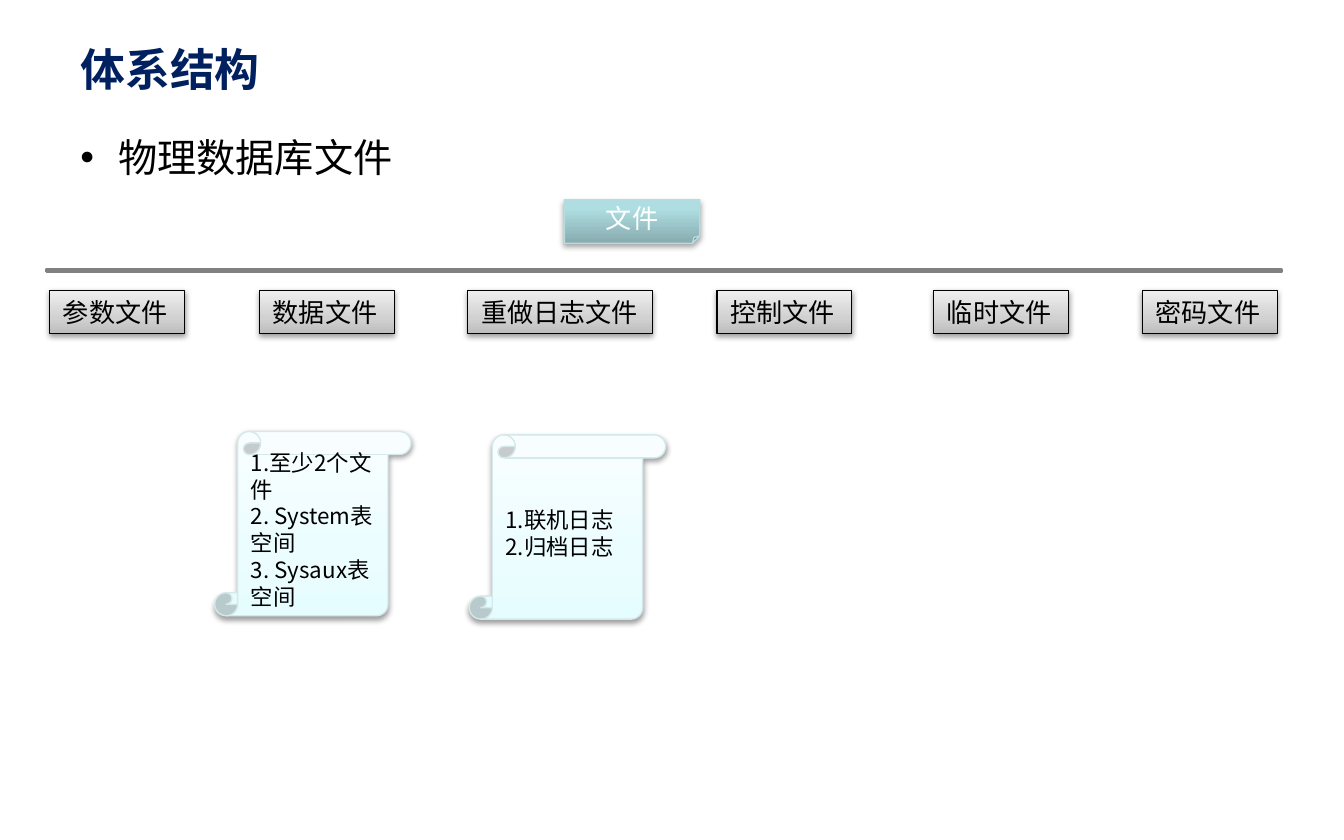
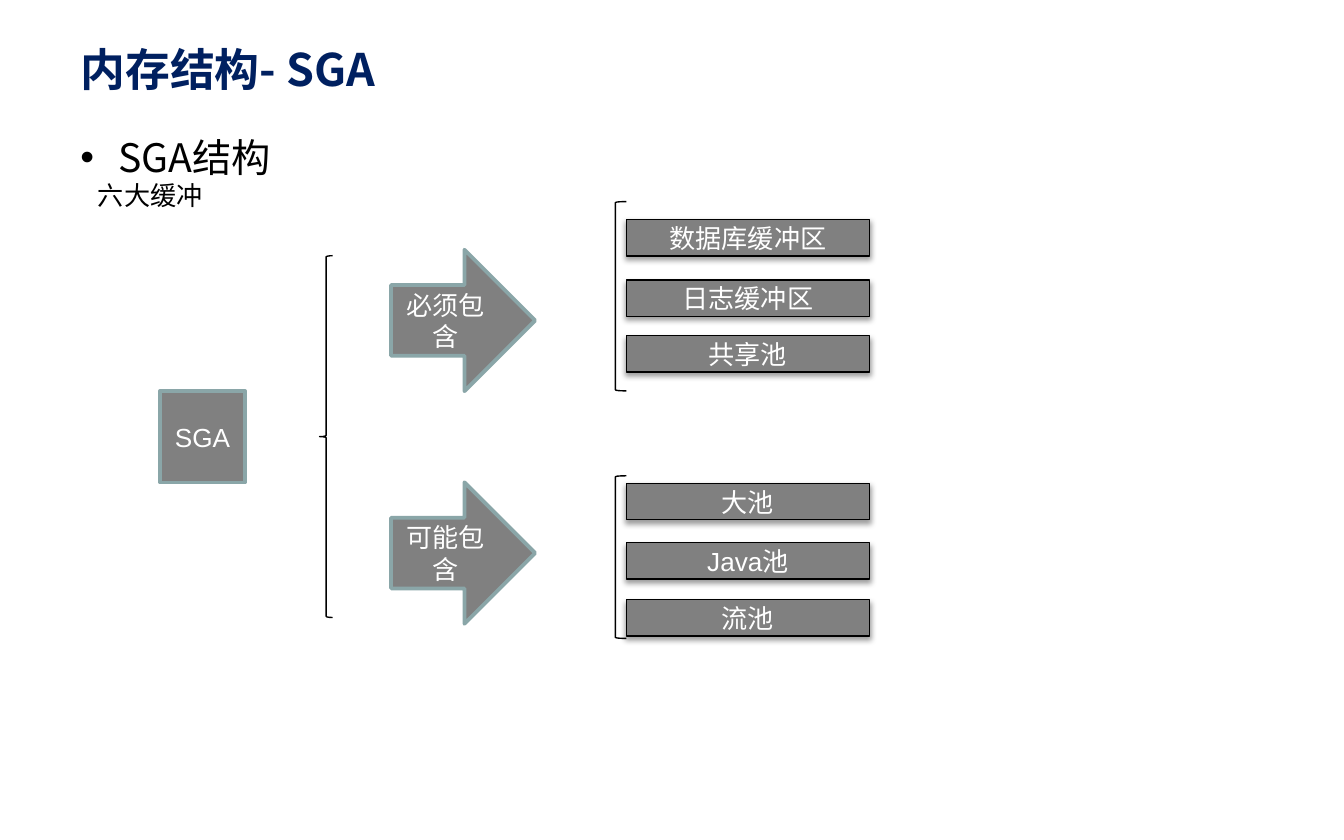
from copy import deepcopy

from lxml.etree import SubElement
from pptx import Presentation
from pptx.dml.color import RGBColor
from pptx.enum.shapes import MSO_SHAPE as Shape
from pptx.enum.text import MSO_ANCHOR as Anchor, PP_ALIGN as Align
from pptx.oxml.ns import qn
from pptx.util import Pt

# Colours
NAVY = RGBColor(0x00, 0x20, 0x60)
BLACK = RGBColor(0x00, 0x00, 0x00)
WHITE = RGBColor(0xFF, 0xFF, 0xFF)
GREY = RGBColor(0x80, 0x80, 0x80)
TEAL_LINE = RGBColor(0x8A, 0xA6, 0xA8)
NOTE_LINE = RGBColor(0xB6, 0xDC, 0xDF)
SCROLL_LINE = RGBColor(0xD5, 0xE8, 0xEA)

# Gradients run from bottom to top: (percent, colour)
NOTE_FILL = [(0, RGBColor(0x87, 0xAB, 0xAE)), (80, RGBColor(0xAF, 0xDE, 0xE2)),
             (100, RGBColor(0xAF, 0xE0, 0xE4))]
FILE_FILL = [(0, RGBColor(0xBD, 0xBD, 0xBD)), (35, RGBColor(0xD1, 0xD1, 0xD1)),
             (100, RGBColor(0xEE, 0xEE, 0xEE))]
SCROLL_FILL = [(0, RGBColor(0xE6, 0xFD, 0xFF)), (35, RGBColor(0xEC, 0xFD, 0xFF)),
               (100, RGBColor(0xF8, 0xFE, 0xFF))]

# Fonts
LATIN = "Arial"
CJK = "Noto Sans CJK SC"

# Shadows: (opacity percent, distance in points)
SOFT_SHADOW = (38, 1.6)
NOTE_SHADOW = (35, 1.8)


class Painter:
    """Holds the deck, its style and the slide being drawn."""

    def __init__(self):
        self.deck = Presentation()
        self.deck.slide_width, self.deck.slide_height = Pt(720), Pt(450)
        self.page = None

    def start_page(self, title):
        self.page = self.deck.slides.add_slide(self.deck.slide_layouts[6])
        frame = self.text_frame(36, 14.4, 408, 44.6, fill=WHITE)
        frame.vertical_anchor = Anchor.MIDDLE
        self.add_span(frame.paragraphs[0], title, 24, NAVY, CJK, bold=True)

    def text_frame(self, left, top, width, height, fill=None):
        box = self.page.shapes.add_textbox(Pt(left), Pt(top), Pt(width), Pt(height))
        if fill is not None:
            box.fill.solid()
            box.fill.fore_color.rgb = fill
        box.text_frame.word_wrap = True
        return box.text_frame

    def add_span(self, para, text, size, color, font, bold=False):
        span = para.add_run()
        span.text = text
        span.font.size, span.font.bold = Pt(size), bold
        span.font.name, span.font.color.rgb = font, color
        east_asian = SubElement(span.font._element, qn("a:ea"))
        east_asian.set("typeface", CJK)

    def body(self, heading, detail=None):
        frame = self.text_frame(36, 70.6, 648, 347)
        para = frame.paragraphs[0]
        para.line_spacing = 0.9
        props = para._p.get_or_add_pPr()
        props.set("marL", str(Pt(20.2)))
        props.set("indent", str(Pt(-20.2)))
        SubElement(props, qn("a:buFont")).set("typeface", LATIN)
        SubElement(props, qn("a:buChar")).set("char", "•")
        self.add_span(para, heading, 21, BLACK, CJK)
        if detail:
            para = frame.add_paragraph()
            para.line_spacing, para.space_before = 0.9, Pt(1)
            para._p.get_or_add_pPr().set("marL", str(Pt(9.4)))
            self.add_span(para, detail, 14, BLACK, CJK)

    def shape(self, kind, left, top, width, height, fill=None, line=BLACK,
              weight=0.75, shadow=None):
        box = self.page.shapes.add_shape(kind, Pt(left), Pt(top), Pt(width), Pt(height))
        box.line.color.rgb, box.line.width = line, Pt(weight)
        if fill is None:
            box.fill.background()
        elif isinstance(fill, list):
            self.gradient(box, fill)
        else:
            box.fill.solid()
            box.fill.fore_color.rgb = fill
        box.shadow.inherit = False
        if shadow:
            self.shadow(box, *shadow)
        return box

    def gradient(self, box, stops):
        box.fill.gradient()
        box.fill.gradient_angle = 90
        stop_list = box._element.spPr.find(".//" + qn("a:gsLst"))
        pattern = deepcopy(stop_list[0])
        for stop in list(stop_list):
            stop_list.remove(stop)
        for percent, color in stops:
            stop = deepcopy(pattern)
            stop.set("pos", str(percent * 1000))
            for child in list(stop):
                stop.remove(child)
            SubElement(stop, qn("a:srgbClr")).set("val", str(color))
            stop_list.append(stop)

    def shadow(self, box, opacity, distance):
        effects = box._element.spPr.find(qn("a:effectLst"))
        outer = SubElement(effects, qn("a:outerShdw"), blurRad=str(Pt(3.1)),
                           dist=str(Pt(distance)), dir="5400000", rotWithShape="0")
        color = SubElement(outer, qn("a:srgbClr"), val=str(BLACK))
        SubElement(color, qn("a:alpha"), val=str(opacity * 1000))

    def label(self, box, lines, size=14, color=WHITE, font=LATIN, align=Align.CENTER):
        frame = box.text_frame
        frame.word_wrap, frame.vertical_anchor = True, Anchor.MIDDLE
        for index, text in enumerate(lines):
            para = frame.add_paragraph() if index else frame.paragraphs[0]
            para.alignment = align
            self.add_span(para, text, size, color, font)

    def file_box(self, left, width, text):
        box = self.shape(Shape.FLOWCHART_PROCESS, left, 155.6, width, 23,
                         FILE_FILL, shadow=SOFT_SHADOW)
        self.label(box, [text], color=BLACK, align=Align.JUSTIFY)

    def scroll(self, left, top, lines):
        box = self.shape(Shape.VERTICAL_SCROLL, left, top, 105.2, 98.7,
                         SCROLL_FILL, SCROLL_LINE, shadow=SOFT_SHADOW)
        self.label(box, lines, 12, BLACK, CJK, Align.LEFT)

    def block(self, kind, left, top, width, height, text):
        box = self.shape(kind, left, top, width, height, GREY, TEAL_LINE, 2)
        self.label(box, [text])

    def bar(self, left, top, text):
        box = self.shape(Shape.RECTANGLE, left, top, 130.4, 19.5, GREY,
                         shadow=SOFT_SHADOW)
        self.label(box, [text])


def draw_files(painter):
    painter.start_page("体系结构")
    painter.body("物理数据库文件")

    # Parent note and dividing rule
    note = painter.shape(Shape.FOLDED_CORNER, 302.4, 107, 72.5, 23.3,
                         NOTE_FILL, NOTE_LINE, shadow=NOTE_SHADOW)
    painter.label(note, ["文件"])
    painter.shape(Shape.MATH_MINUS, -94.3, 143.2, 900, 3.6, GREY, GREY, 2)

    # Row of file kinds
    for left, width, text in [(26.6, 72.3, "参数文件"), (139, 72.3, "数据文件"),
                              (250.6, 98.8, "重做日志文件"), (384, 72.3, "控制文件"),
                              (500.2, 72.3, "临时文件"), (612, 72.3, "密码文件")]:
        painter.file_box(left, width, text)

    # Details
    painter.scroll(115, 231.2, ["1.至少2个文件", "2. System表空间", "3. Sysaux表空间"])
    painter.scroll(251.4, 233, ["1.联机日志", "2.归档日志"])


def draw_memory(painter):
    painter.start_page("内存结构- SGA")
    painter.body("SGA结构", "六大缓冲")

    # Root
    painter.shape(Shape.LEFT_BRACE, 171.2, 137, 7, 193.8)
    painter.block(Shape.RECTANGLE, 85.7, 209.5, 45.6, 49, "SGA")

    # Groups: arrow top, bracket top and height, bars
    groups = [
        ("必须包含", 133.8, 108, 101.4,
         [(117.6, "数据库缓冲区"), (150, "日志缓冲区"), (179.8, "共享池")]),
        ("可能包含", 258.4, 254.9, 87.1,
         [(259, "大池"), (290.8, "Java池"), (321.3, "流池")]),
    ]
    for name, arrow_top, bracket_top, bracket_height, bars in groups:
        painter.block(Shape.RIGHT_ARROW, 209.5, arrow_top, 77.2, 75.8, name)
        painter.shape(Shape.LEFT_BRACKET, 329.7, bracket_top, 5.8, bracket_height)
        for top, text in bars:
            painter.bar(335.5, top, text)


def main():
    painter = Painter()
    draw_files(painter)
    draw_memory(painter)
    painter.deck.save("out.pptx")


if __name__ == "__main__":
    main()
